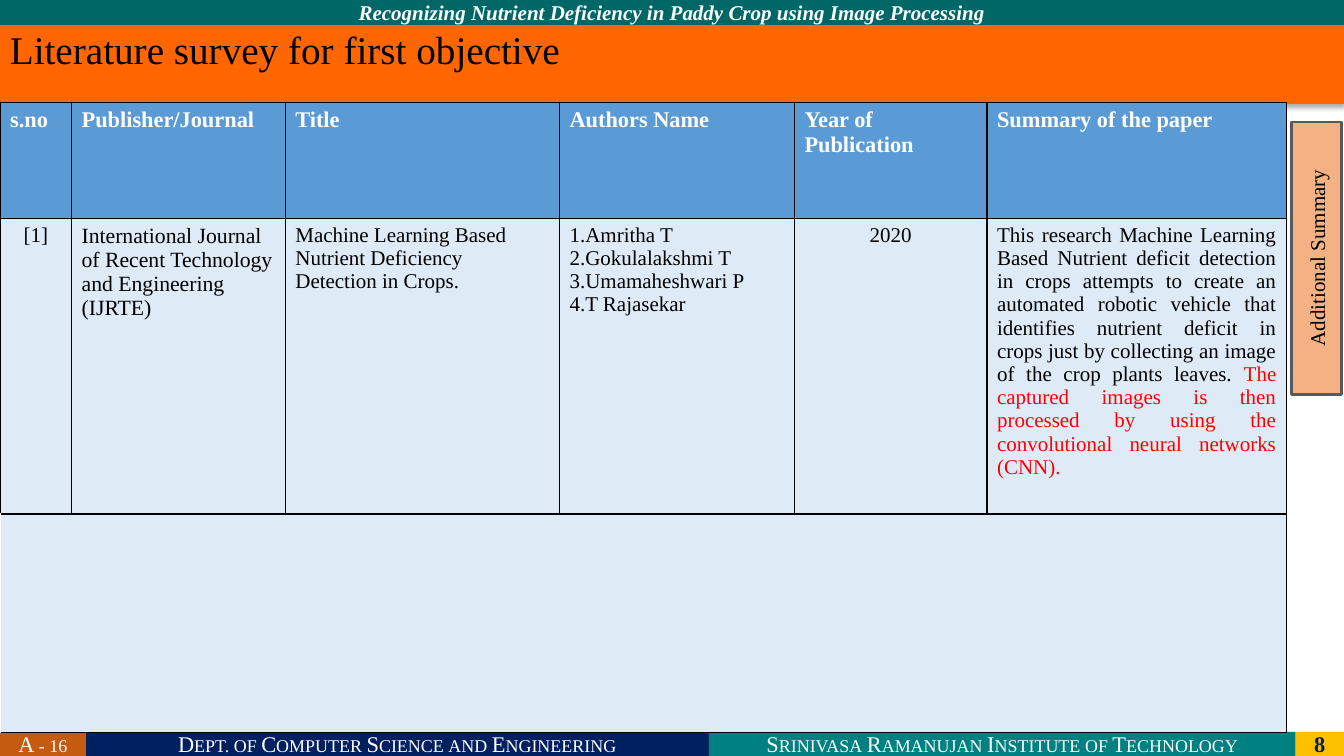
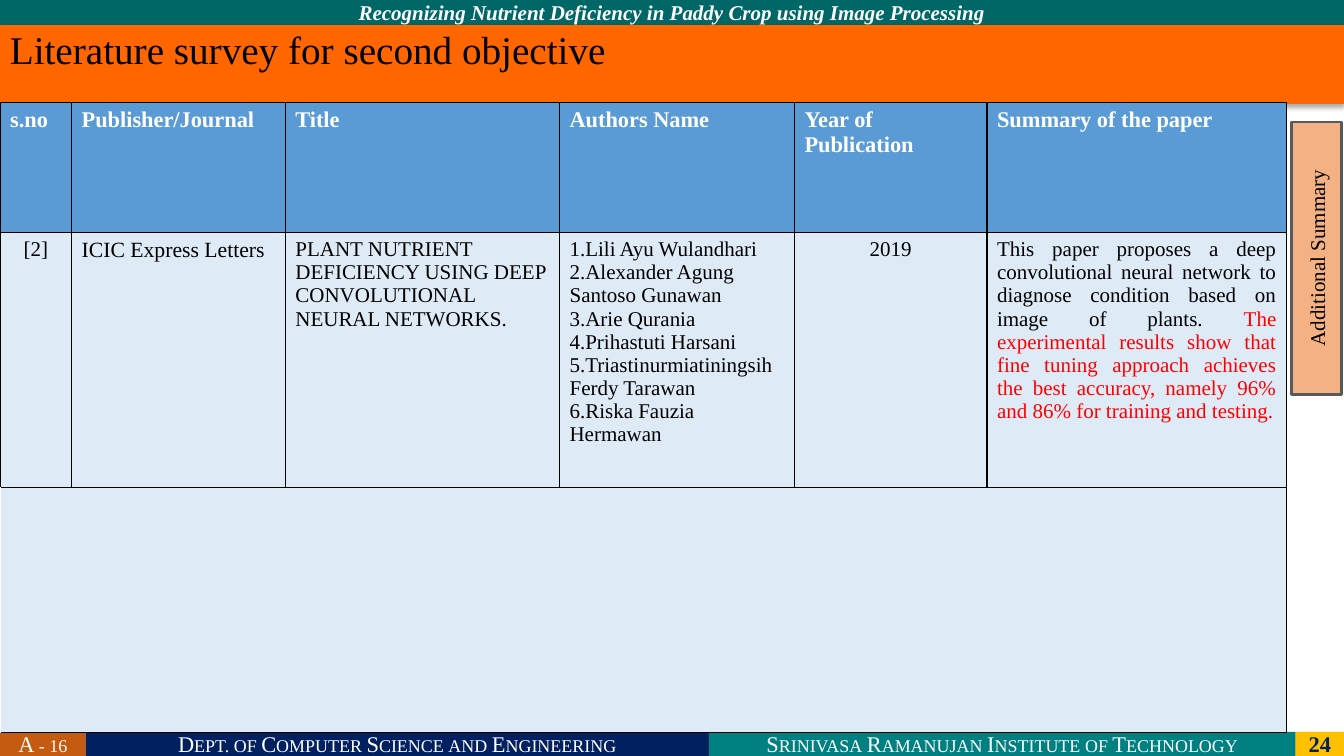
"""Build the literature survey slides of the paddy crop presentation."""
import dataclasses

import lxml.etree
import pptx
import pptx.dml.color
import pptx.enum.shapes
import pptx.enum.text
import pptx.oxml.ns
import pptx.util

Inches = pptx.util.Inches
Pt = pptx.util.Pt
ALIGN = pptx.enum.text.PP_ALIGN
ANCHOR = pptx.enum.text.MSO_ANCHOR
qn = pptx.oxml.ns.qn


@dataclasses.dataclass(frozen=True)
class Theme:
    font: str = "Times New Roman"
    white: str = "FFFFFF"
    black: str = "000000"
    red: str = "FF0000"
    navy: str = "002060"
    teal: str = "008080"
    dark_teal: str = "006666"
    gold: str = "FFC000"
    rust: str = "C55A11"
    orange: str = "FF6600"
    peach: str = "F4B183"
    gray: str = "595959"
    header_blue: str = "5B9BD5"
    pale_blue: str = "DEEBF7"
    title_size: float = 28
    label_size: float = 16
    journal_size: float = 15.5
    body_size: float = 15


THEME = Theme()
SLIDE_WIDTH, SLIDE_HEIGHT = 13.33, 7.5
FOOTER_TOP, FOOTER_HEIGHT = 7.26, 0.24
COLUMN_WIDTHS = (0.71, 2.12, 2.72, 2.33, 1.91, 2.97)
HEADINGS = ("s.no", "Publisher/Journal", "Title", "Authors Name",
            "Year of Publication", "Summary of the paper")
BODY_ALIGNMENTS = (ALIGN.CENTER, ALIGN.LEFT, ALIGN.LEFT, ALIGN.LEFT, ALIGN.CENTER, ALIGN.JUSTIFY)
BODY_SIZES = (THEME.body_size, THEME.journal_size) + (THEME.body_size,) * 4

SMALL_CAPS = {"size": THEME.label_size, "color": THEME.white, "small_caps": True}
FOOTERS = (
    (0.85, THEME.rust, "A - 16", SMALL_CAPS),
    (6.18, THEME.navy, "Dept. of Computer Science and Engineering", SMALL_CAPS),
    (5.82, THEME.teal, "Srinivasa Ramanujan Institute of Technology", SMALL_CAPS),
)

SURVEYS = (
    {
        "title": "Literature survey for first objective",
        "number": "8",
        "row_heights": (1.15, 2.93, 2.17),
        "entry": (
            "[1]",
            "International Journal of Recent Technology and Engineering (IJRTE)",
            "Machine Learning Based Nutrient Deficiency Detection in Crops.",
            "1.Amritha T\n2.Gokulalakshmi T\n3.Umamaheshwari P\n4.T Rajasekar",
            "2020",
            "This research Machine Learning Based Nutrient deficit detection in crops attempts "
            "to create an automated robotic vehicle that identifies nutrient deficit in crops "
            "just by collecting an image of the crop plants leaves. ",
        ),
        "finding": "The captured images is then processed by using the convolutional neural "
                   "networks (CNN).",
    },
    {
        "title": "Literature survey for second objective",
        "number": "24",
        "row_heights": (1.29, 2.53, 2.43),
        "entry": (
            "[2]",
            "ICIC Express Letters",
            "PLANT NUTRIENT DEFICIENCY USING DEEP CONVOLUTIONAL NEURAL NETWORKS.",
            "1.Lili Ayu Wulandhari\n2.Alexander Agung Santoso Gunawan\n3.Arie Qurania\n"
            "4.Prihastuti Harsani\n5.Triastinurmiatiningsih Ferdy Tarawan\n"
            "6.Riska Fauzia Hermawan",
            "2019",
            "This paper proposes a deep convolutional neural network to diagnose condition "
            "based on image of plants. ",
        ),
        "finding": "The experimental results show that fine tuning approach achieves the best "
                   "accuracy, namely 96% and 86% for training and testing.",
    },
)


def rgb(color):
    return pptx.dml.color.RGBColor.from_string(color)


class SurveyDeck:
    def __init__(self, theme):
        self.theme = theme
        self.presentation = pptx.Presentation()
        self.presentation.slide_width = Inches(SLIDE_WIDTH)
        self.presentation.slide_height = Inches(SLIDE_HEIGHT)
        self.slide = None

    def add_slide(self):
        self.slide = self.presentation.slides.add_slide(self.presentation.slide_layouts[6])

    def add_run(self, paragraph, text, size, color, small_caps=False, **styles):
        run = paragraph.add_run()
        run.text = text
        formats = {"name": self.theme.font, "size": Pt(size), **styles}
        for name, value in formats.items():
            setattr(run.font, name, value)
        run.font.color.rgb = rgb(color)
        if small_caps:
            run._r.get_or_add_rPr().set("cap", "small")

    def add_text(self, frame, text, alignment, **style):
        for index, line in enumerate(text.split("\n")):
            paragraph = frame.add_paragraph() if index else frame.paragraphs[0]
            paragraph.alignment = alignment
            self.add_run(paragraph, line, **style)
        return paragraph

    def add_box(self, left, top, width, height, fill, text, style,
                alignment=ALIGN.CENTER, anchor=ANCHOR.MIDDLE):
        shape = self.slide.shapes.add_shape(
            pptx.enum.shapes.MSO_SHAPE.RECTANGLE,
            Inches(left), Inches(top), Inches(width), Inches(height))
        shape.shadow.inherit = False
        shape.fill.solid()
        shape.fill.fore_color.rgb = rgb(fill)
        shape.line.fill.background()
        frame = shape.text_frame
        for name, value in {"word_wrap": True, "vertical_anchor": anchor}.items():
            setattr(frame, name, value)
        self.add_text(frame, text, alignment, **style)
        return shape

    def add_bands(self, number):
        theme = self.theme
        self.add_box(0, 0, SLIDE_WIDTH, 0.25, theme.dark_teal,
                     "Recognizing Nutrient Deficiency in Paddy Crop using Image Processing",
                     {"size": theme.body_size, "color": theme.white, "bold": True, "italic": True})
        number_style = {"size": theme.label_size, "color": theme.navy, "bold": True}
        left = 0
        for width, fill, text, style in FOOTERS + ((0.48, theme.gold, number, number_style),):
            self.add_box(left, FOOTER_TOP, width, FOOTER_HEIGHT, fill, text, style)
            left += width

    def add_title(self, text):
        shape = self.add_box(0, 0.25, SLIDE_WIDTH, 0.78, self.theme.orange, text,
                             {"size": self.theme.title_size, "color": self.theme.black},
                             ALIGN.JUSTIFY, ANCHOR.TOP)
        shape.text_frame.paragraphs[0].line_spacing = 0.9
        effects = shape._element.spPr.find(qn("a:effectLst"))
        shadow = lxml.etree.SubElement(
            effects, qn("a:outerShdw"), blurRad=str(Pt(3.5)), dist=str(Pt(2.2)),
            dir="5400000", algn="t", rotWithShape="0")
        color = lxml.etree.SubElement(shadow, qn("a:srgbClr"), val=self.theme.black)
        lxml.etree.SubElement(color, qn("a:alpha"), val="32000")

    def format_cell(self, cell, fill, sides="LRTB"):
        properties = cell._tc.get_or_add_tcPr()
        for side in sides:
            line = lxml.etree.SubElement(properties, qn(f"a:ln{side}"), w=str(Pt(1)))
            solid = lxml.etree.SubElement(line, qn("a:solidFill"))
            lxml.etree.SubElement(solid, qn("a:srgbClr"), val=self.theme.black)
        cell.fill.solid()
        cell.fill.fore_color.rgb = rgb(fill)

    def add_table(self, entry, finding, row_heights):
        theme = self.theme
        table = self.slide.shapes.add_table(
            len(row_heights), len(COLUMN_WIDTHS), Inches(0), Inches(1.02),
            Inches(sum(COLUMN_WIDTHS)), Inches(sum(row_heights))).table
        for row, height in zip(table.rows, row_heights):
            row.height = Inches(height)
        last = len(COLUMN_WIDTHS) - 1
        for index, width in enumerate(COLUMN_WIDTHS):
            table.columns[index].width = Inches(width)
            heading, body, blank = (table.cell(row, index) for row in range(3))
            self.format_cell(heading, theme.header_blue)
            self.format_cell(body, theme.pale_blue)
            self.format_cell(blank, theme.pale_blue, "RTB" if index in (0, last) else "TB")
            self.add_text(heading.text_frame, HEADINGS[index], ALIGN.LEFT,
                          size=theme.label_size, color=theme.white, bold=True)
            paragraph = self.add_text(body.text_frame, entry[index], BODY_ALIGNMENTS[index],
                                      size=BODY_SIZES[index], color=theme.black)
        self.add_run(paragraph, finding, theme.body_size, theme.red)
        table.cell(2, 0).merge(table.cell(2, last))

    def add_side_tab(self):
        shape = self.add_box(11.71, 2.31, 2.7, 0.5, self.theme.peach, "Additional Summary",
                             {"size": self.theme.body_size, "color": self.theme.black})
        shape.rotation = 270
        shape.line.color.rgb = rgb(self.theme.gray)
        shape.line.width = Pt(2)


def main():
    deck = SurveyDeck(THEME)
    for survey in SURVEYS:
        deck.add_slide()
        deck.add_bands(survey["number"])
        deck.add_title(survey["title"])
        deck.add_table(survey["entry"], survey["finding"], survey["row_heights"])
        deck.add_side_tab()
    deck.presentation.save("out.pptx")


if __name__ == "__main__":
    main()
